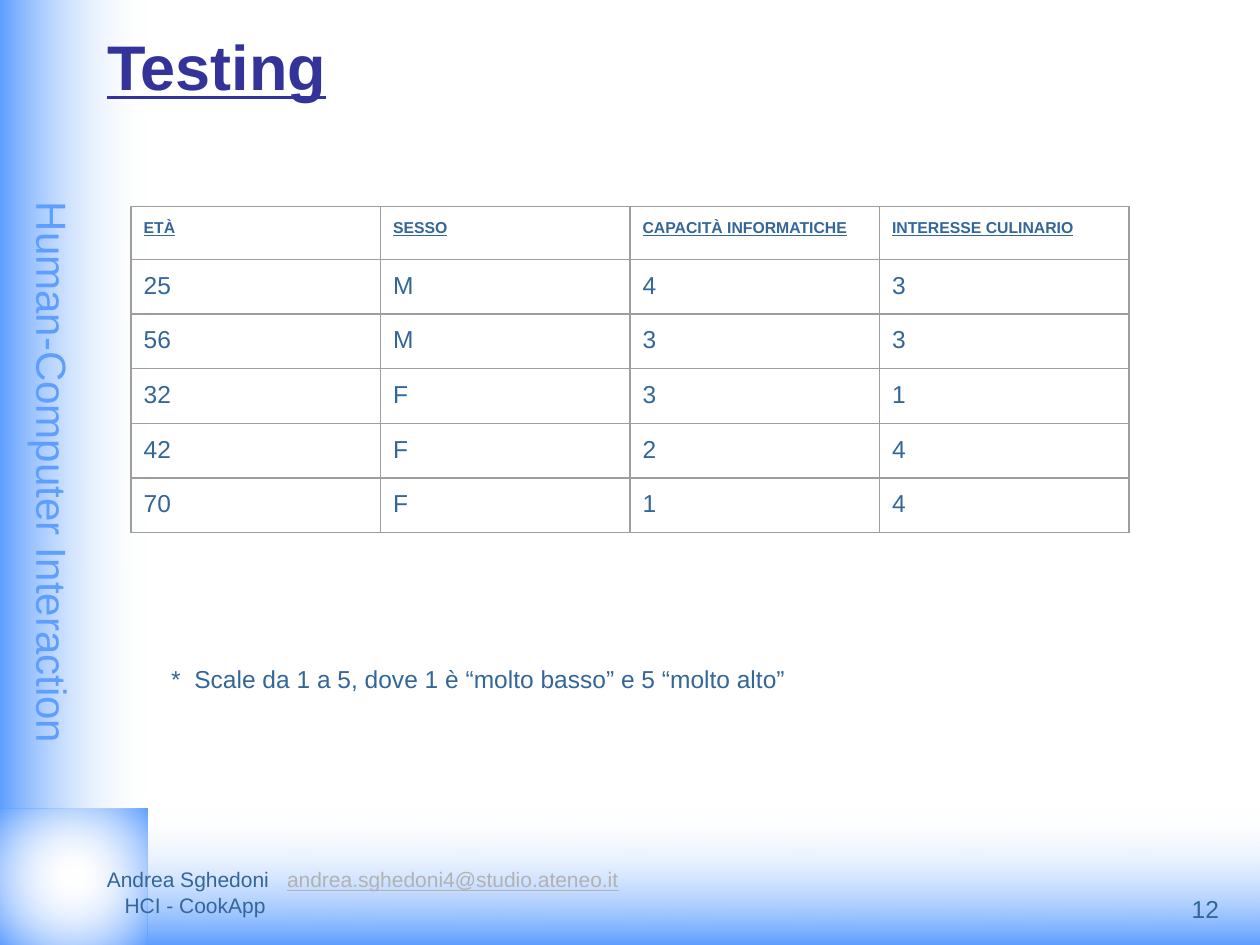
from lxml import etree
from pptx import Presentation
from pptx.dml.color import RGBColor
from pptx.enum import shapes, text
from pptx.oxml.ns import qn
from pptx.util import Inches, Pt

SKY = RGBColor(0x5E, 0x9E, 0xFF)
WHITE = RGBColor(0xFF, 0xFF, 0xFF)
PALE = RGBColor(0xF9, 0xFC, 0xFF)
STEEL = RGBColor(0x33, 0x66, 0x99)
NAVY = RGBColor(0x33, 0x33, 0x99)
SILVER = RGBColor(0xB2, 0xB2, 0xB2)
BORDER = "9E9E9E"
SIDE, BASE = 1.17, 6.42
ROWS = [
    ("ETÀ", "SESSO", "CAPACITÀ INFORMATICHE", "INTERESSE CULINARIO"),
    ("25", "M", "4", "3"),
    ("56", "M", "3", "3"),
    ("32", "F", "3", "1"),
    ("42", "F", "2", "4"),
    ("70", "F", "1", "4"),
]


def set_font(font, size, color, bold=False, underline=False):
    """Apply the slide's typeface with the given look."""
    font.name, font.size, font.bold, font.underline = "Arial", Pt(size), bold, underline
    font.color.rgb = color


def set_margins(box, x, y):
    """Set equal horizontal and equal vertical insets on a frame or cell."""
    box.margin_left = box.margin_right = Inches(x)
    box.margin_top = box.margin_bottom = Inches(y)


def add_gradient(s, box, start, angle=None):
    """Add a fading rectangle, radial when no angle is given."""
    sp = s.shapes.add_shape(shapes.MSO_SHAPE.RECTANGLE, *map(Inches, box))
    sp.shadow.inherit = False
    sp.line.fill.background()
    sp.fill.gradient()
    for stop, color, position in zip(sp.fill.gradient_stops, (start, SKY), (0, 1)):
        stop.color.rgb = color
        stop.position = position
    grad = sp._element.spPr.find(qn("a:gradFill"))
    etree.SubElement(grad.find(".//" + qn("a:srgbClr")), qn("a:alpha"), val="0")
    if angle is not None:
        sp.fill.gradient_angle = angle
        return
    lin = grad.find(qn("a:lin"))
    radial = etree.Element(qn("a:path"), path="circle")
    etree.SubElement(radial, qn("a:fillToRect"), l="50000", t="50000", r="50000", b="50000")
    grad.replace(lin, radial)


def add_text(s, box, content, size, color=STEEL, inset=0.1, anchor=text.MSO_ANCHOR.TOP):
    """Add a wrapped text box with one formatted paragraph."""
    sp = s.shapes.add_textbox(*map(Inches, box))
    tf = sp.text_frame
    tf.word_wrap = True
    tf.vertical_anchor = anchor
    set_margins(tf, 0.1, inset)
    p = tf.paragraphs[0]
    p.text = content
    set_font(p.font, size, color)
    return sp


def add_frame(s, width, height):
    """Add the side band, base band, corner glow and course name."""
    add_gradient(s, (SIDE, BASE, width - SIDE, height - BASE), WHITE, 270)
    add_gradient(s, (0, BASE, SIDE, height - BASE), WHITE)
    add_gradient(s, (0, 0, SIDE, BASE), PALE, 180)
    sp = add_text(s, (-3.38, 3.45, height, 0.6), "Human-Computer Interaction", 24, SKY, 0.05)
    sp.rotation = 90
    sp.text_frame.paragraphs[0].alignment = text.PP_ALIGN.CENTER


def add_title(s, box, content):
    """Place and format the title placeholder above the bands."""
    sp = s.shapes.title
    s.shapes._spTree.append(sp._element)
    sp.left, sp.top, sp.width, sp.height = map(Inches, box)
    tf = sp.text_frame
    tf.vertical_anchor = text.MSO_ANCHOR.MIDDLE
    p = tf.paragraphs[0]
    p.text = content
    p.alignment = text.PP_ALIGN.LEFT
    p.line_spacing = 0.75
    set_font(p.font, 36, NAVY, True, True)


def add_footer(s, box):
    """Add the author, address and project lines."""
    tf = add_text(s, box, "Andrea Sghedoni\t", 12, inset=0.05,
                  anchor=text.MSO_ANCHOR.BOTTOM).text_frame
    p = tf.paragraphs[0]
    tabs = etree.Element(qn("a:tabLst"))
    etree.SubElement(tabs, qn("a:tab"), pos=str(Inches(1.43)), algn="l")
    p._p.get_or_add_pPr().insert(0, tabs)
    r = p.add_run()
    r.text = "andrea.sghedoni4@studio.ateneo.it"
    set_font(r.font, 12, SILVER, underline=True)
    p = tf.add_paragraph()
    p.text = "HCI - CookApp"
    p._p.get_or_add_pPr().set("marL", str(Inches(0.14)))
    set_font(p.font, 12, STEEL)


def add_borders(cell):
    """Draw a thin grey line on every side of a cell."""
    props = cell._tc.get_or_add_tcPr()
    for i, side in enumerate(("lnL", "lnR", "lnT", "lnB")):
        ln = etree.Element(qn("a:" + side), w=str(Pt(0.75)))
        fill = etree.SubElement(ln, qn("a:solidFill"))
        etree.SubElement(fill, qn("a:srgbClr"), val=BORDER)
        props.insert(i, ln)


def add_users_table(s, box):
    """Add the table of test users, with a small underlined header."""
    table = s.shapes.add_table(len(ROWS), len(ROWS[0]), *map(Inches, box)).table
    table.first_row = table.horz_banding = False
    for i, values in enumerate(ROWS):
        header = i == 0
        for j, value in enumerate(values):
            cell = table.cell(i, j)
            cell.fill.background()
            set_margins(cell, 0.1, 0.1)
            add_borders(cell)
            p = cell.text_frame.paragraphs[0]
            p.text = value
            set_font(p.font, 9 if header else 14, STEEL, header, header)


def main():
    """Build and save the slide."""
    prs = Presentation()
    width, height = 10, 7.5
    prs.slide_width, prs.slide_height = Inches(width), Inches(height)
    s = prs.slides.add_slide(prs.slide_layouts[5])
    add_frame(s, width, height)
    add_footer(s, (0.75, 7, 9, 0.33))
    add_title(s, (0.75, 0, 9, 1.17), "Testing")
    add_text(s, (9.36, 6.93, 0.6, 0.57), "12", 14, anchor=text.MSO_ANCHOR.MIDDLE)
    add_users_table(s, (1.04, 1.64, 7.92, 2.51))
    add_text(s, (1.26, 5.17, 8.49, 0.47),
             "*  Scale da 1 a 5, dove 1 è “molto basso” e 5 “molto alto”", 14)
    prs.save("out.pptx")


if __name__ == "__main__":
    main()
